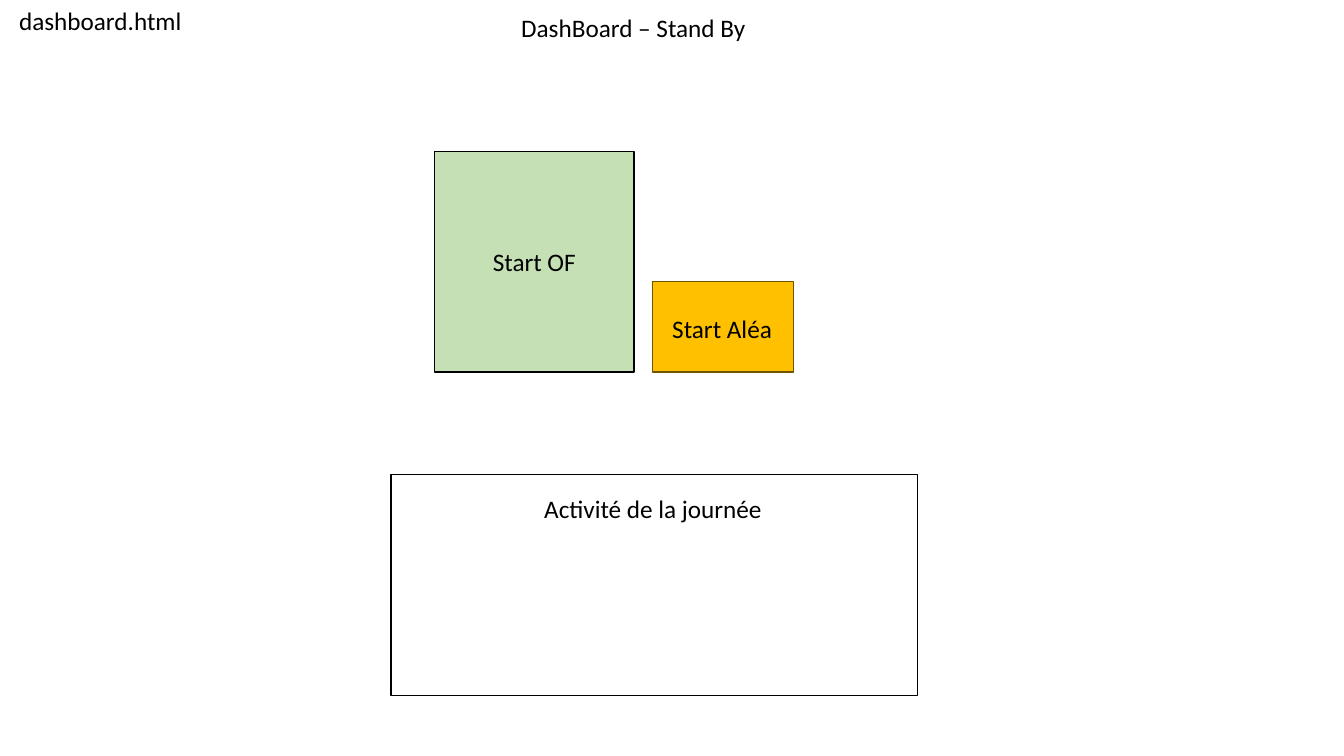
from pptx import Presentation
from pptx.dml.color import RGBColor
from pptx.enum.shapes import MSO_SHAPE as Shape
from pptx.enum.text import MSO_ANCHOR as Anchor, MSO_AUTO_SIZE as Fit, PP_ALIGN as Align
from pptx.util import Inches, Pt

BLACK = RGBColor(0x00, 0x00, 0x00)
WHITE = RGBColor(0xFF, 0xFF, 0xFF)
GREEN = RGBColor(0xC5, 0xE0, 0xB4)
AMBER = RGBColor(0xFF, 0xC0, 0x00)
BROWN = RGBColor(0x70, 0x54, 0x00)
LINE = 5.33


def write(frame, text, font="Calibri", size=18, color=BLACK, wrap=False, fit=Fit.SHAPE_TO_FIT_TEXT):
    """Fill a text frame with one left-aligned, formatted line."""
    frame.margin_left = frame.margin_right = Inches(0.1)
    frame.margin_top = frame.margin_bottom = Inches(0.05)
    frame.vertical_anchor = Anchor.TOP
    frame.word_wrap = wrap
    frame.auto_size = fit
    para = frame.paragraphs[0]
    para.alignment = Align.LEFT
    para.line_spacing = 1.0
    para.space_before = Pt(0)
    run = para.add_run()
    run.text = text
    run.font.name = font
    run.font.size = Pt(size)
    run.font.color.rgb = color


class Board:
    """Draw on one slide, with lengths in percent of its width and height."""

    def __init__(self, deck):
        self.deck = deck
        self.slide = deck.slides.add_slide(deck.slide_layouts[5])

    def area(self, left, top, width, height):
        """Turn percent shares into slide lengths."""
        wide, high = self.deck.slide_width, self.deck.slide_height
        return [int(share * full / 100) for share, full in
                zip((left, top, width, height), (wide, high, wide, high))]

    def title(self, text, *area):
        """Place and fill the title."""
        head = self.slide.shapes.title
        head.left, head.top, head.width, head.height = self.area(*area)
        write(head.text_frame, text)

    def label(self, text, *area, **style):
        """Add a line of text."""
        box = self.slide.shapes.add_textbox(*self.area(*area))
        write(box.text_frame, text, **style)

    def panel(self, fill, edge, *area):
        """Add a filled rectangle with a thin outline."""
        rect = self.slide.shapes.add_shape(Shape.RECTANGLE, *self.area(*area))
        rect.shadow.inherit = False
        rect.fill.solid()
        rect.fill.fore_color.rgb = fill
        rect.line.color.rgb = edge
        rect.line.width = Pt(1)


def main():
    """Build and save the dashboard slide."""
    deck = Presentation()
    deck.slide_width, deck.slide_height = Inches(13.33), Inches(7.5)
    board = Board(deck)
    board.panel(WHITE, BLACK, 29.1, 62.8, 39.15, 29.2)
    board.title("DashBoard – Stand By", 38.03, 0.93, 18.4, LINE)
    board.label("Activité de la journée", 39.75, 64.53, 17.93, LINE)
    board.panel(GREEN, BLACK, 32.33, 20, 14.85, 29.2)
    board.label("Start OF", 35.93, 31.87, 7.73, LINE)
    board.panel(AMBER, BROWN, 48.53, 37.2, 10.5, 12)
    board.label("Start Aléa", 49.28, 40.8, 9, LINE)
    board.label("dashboard.html", 0.68, 0, 50, LINE, wrap=True)
    deck.save("out.pptx")


if __name__ == "__main__":
    main()
